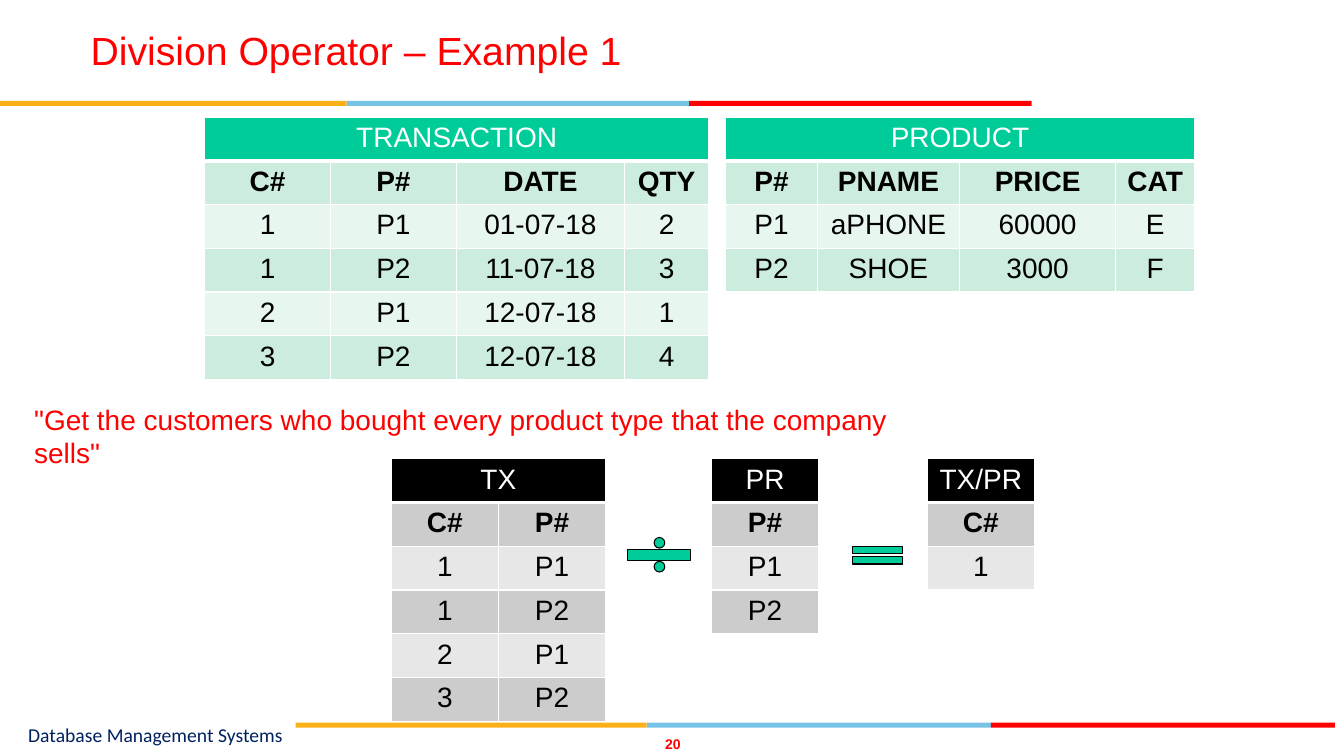
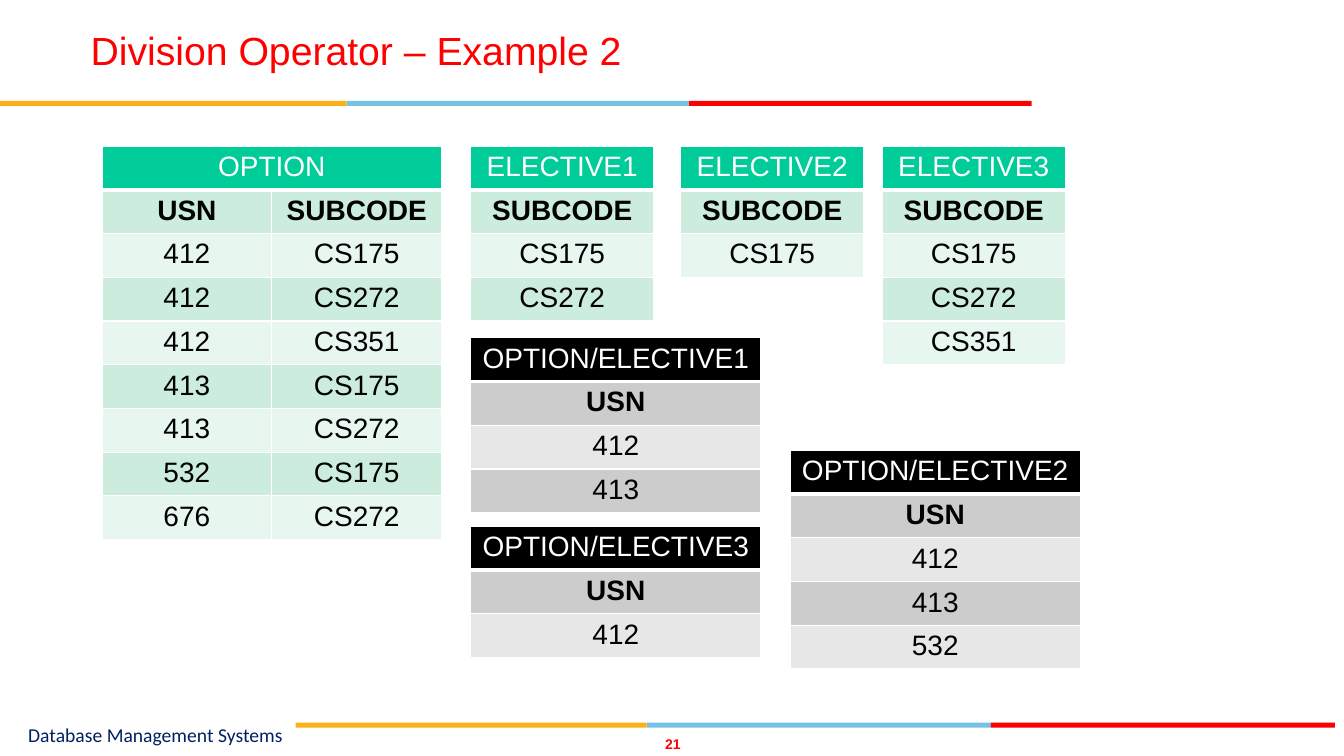
from lxml.etree import SubElement
from pptx import Presentation
from pptx.dml.color import RGBColor
from pptx.enum.shapes import MSO_SHAPE
from pptx.enum.text import MSO_ANCHOR, PP_ALIGN
from pptx.oxml.ns import qn
from pptx.util import Cm, Pt

HUES = {
    "red": "FF0000", "gold": "FCB017", "sky": "76C2E5", "navy": "002060",
    "green": "00CC99", "white": "FFFFFF", "black": "000000",
}
# Table themes: header, odd rows, even rows
THEMES = {
    "green": (HUES["green"], "CCECDE", "E7F6EF"),
    "black": (HUES["black"], "CCCCCC", "E7E7E7"),
}
ROW = 1.04  # table row height


def rgb(hue):
    return RGBColor.from_string(hue)


def place(box):
    """Turn a box in centimetres into lengths."""
    return [Cm(side) for side in box]


def style(para, size, hue, bold=False, face="Arial", align=PP_ALIGN.LEFT):
    font = para.font
    font.name, font.size, font.bold = face, Pt(size), bold
    font.color.rgb = rgb(hue)
    para.alignment = align


def label(slide, box, text, size, hue, inset=True, **look):
    frame = slide.shapes.add_textbox(*place(box)).text_frame
    frame.word_wrap = True
    if not inset:
        frame.margin_left = frame.margin_right = 0
        frame.margin_top = frame.margin_bottom = 0
        frame.vertical_anchor = MSO_ANCHOR.MIDDLE
    para = frame.paragraphs[0]
    para.text = text
    style(para, size, hue, **look)


def stripe(slide, left, top, widths):
    """Draw a gold, sky and red band."""
    for name, width in zip(("gold", "sky", "red"), widths):
        bar = slide.shapes.add_shape(
            MSO_SHAPE.RECTANGLE, *place((left, top, width, 0.13)))
        bar.shadow.inherit = False
        bar.fill.solid()
        bar.fill.fore_color.rgb = rgb(HUES[name])
        bar.line.fill.background()
        left += width


def frame_up(slide, layout):
    """Build the shared bands and footer, then move them to the layout."""
    stripe(slide, 0, 2.54, (8.74, 8.63, 8.63))
    stripe(slide, 7.45, 18.21, (8.85, 8.67, 8.67))
    label(slide, (0.71, 18.16, 12.6, 0.69), "Database Management Systems",
          14, HUES["navy"], inset=False, face="Calibri")
    for shape in list(slide.shapes):
        if not shape.is_placeholder:
            layout.shapes.element.append(shape.element)


def set_up(deck):
    """Keep only the title on the layout and set its place."""
    layout = deck.slide_layouts.get_by_name("Title Only")
    for holder in list(layout.placeholders):
        if holder.placeholder_format.idx:
            holder.element.getparent().remove(holder.element)
    title = layout.placeholders[0]
    title.left, title.top, title.width, title.height = place(
        (2.03, 0.41, 22.86, 1.68))
    return layout


def head(slide, text, page):
    """Write the title and the page number."""
    para = slide.shapes.title.text_frame.paragraphs[0]
    para.text = text
    style(para, 28, HUES["red"])
    label(slide, (16.54, 18.52, 0.84, 0.43), str(page), 10, HUES["red"],
          inset=False, bold=True, align=PP_ALIGN.CENTER)


def border(cell, under):
    """Edge a cell in white, with its own width below."""
    props = cell._tc.get_or_add_tcPr()
    for side, width in (("L", 1), ("R", 1), ("T", 1), ("B", under)):
        line = SubElement(props, qn(f"a:ln{side}"), w=str(Pt(width)))
        fill = SubElement(line, qn("a:solidFill"))
        SubElement(fill, qn("a:srgbClr"), val=HUES["white"])


def grid(slide, left, top, widths, theme, name, rows):
    """Add a table: a name row, a row of column names, then data."""
    lines = [[name] + [""] * (len(widths) - 1)]
    lines += [row.split() for row in rows]
    box = (left, top, sum(widths), ROW * len(lines))
    table = slide.shapes.add_table(
        len(lines), len(widths), *place(box)).table
    for col, width in zip(table.columns, widths):
        col.width = Cm(width)
    top_hue, odd, even = THEMES[theme]
    for r, line in enumerate(lines):
        table.rows[r].height = Cm(ROW)
        hue = top_hue if r == 0 else odd if r % 2 else even
        for c, text in enumerate(line):
            cell = table.cell(r, c)
            border(cell, 1 if r else 3)
            cell.fill.solid()
            cell.fill.fore_color.rgb = rgb(hue)
            para = cell.text_frame.paragraphs[0]
            para.text = text
            style(para, 20, HUES["black" if r else "white"], bold=r == 1,
                  align=PP_ALIGN.CENTER)
    if len(widths) > 1:
        table.cell(0, 0).merge(table.cell(0, len(widths) - 1))


def sign(slide, kind, box):
    """Draw a maths sign."""
    shape = slide.shapes.add_shape(kind, *place(box))
    shape.shadow.inherit = False
    shape.fill.solid()
    shape.fill.fore_color.rgb = rgb(HUES["green"])
    shape.line.color.rgb = rgb(HUES["black"])
    shape.line.width = Pt(0.75)


def sales(slide):
    """Customers who bought every product."""
    # Source tables
    top = 2.95
    grid(slide, 5.16, top, (3.17, 3.17, 4.24, 2.12), "green", "TRANSACTION",
         ["C# P# DATE QTY", "1 P1 01-07-18 2", "1 P2 11-07-18 3",
          "2 P1 12-07-18 1", "3 P2 12-07-18 4"])
    grid(slide, 18.29, top, (2.31, 3.58, 3.94, 1.98), "green", "PRODUCT",
         ["P# PNAME PRICE CAT", "P1 aPHONE 60000 E", "P2 SHOE 3000 F"])
    # Division
    top, wide = 11.56, 2.7
    grid(slide, 9.86, top, (wide, wide), "black", "TX",
         ["C# P#", "1 P1", "1 P2", "2 P1", "3 P2"])
    sign(slide, MSO_SHAPE.MATH_DIVIDE, (15.54, top + 1.85, 2.16, 1.14))
    grid(slide, 17.93, top, (wide,), "black", "PR", ["P#", "P1", "P2"])
    sign(slide, MSO_SHAPE.MATH_EQUAL, (21.26, top + 2.05, 1.7, 0.76))
    grid(slide, 23.37, top, (wide,), "black", "TX/PR", ["C#", "1"])
    # Query
    label(slide, (0.61, 10.01, 23.85, 1.12),
          '"Get the customers who bought every product type '
          'that the company sells"', 20, HUES["red"])


def course(slide):
    """Students who took every elective."""
    # Source tables
    top = 3.68
    codes = ["CS175", "CS272", "CS351"]
    grid(slide, 2.57, top, (4.28, 4.28), "green", "OPTION",
         ["USN SUBCODE", "412 CS175", "412 CS272", "412 CS351", "413 CS175",
          "413 CS272", "532 CS175", "676 CS272"])
    for num, (left, count) in enumerate(
            ((11.86, 2), (17.15, 1), (22.23, 3)), 1):
        grid(slide, left, top, (4.62,), "green", f"ELECTIVE{num}",
             ["SUBCODE"] + codes[:count])
    # Results
    users = ["412", "413", "532"]
    for num, (left, top, count) in enumerate(
            ((11.86, 8.51, 2), (19.91, 11.35, 3), (11.86, 13.26, 1)), 1):
        grid(slide, left, top, (7.32,), "black", f"OPTION/ELECTIVE{num}",
             ["USN"] + users[:count])


def main():
    deck = Presentation()
    deck.slide_width, deck.slide_height = Cm(33.87), Cm(19.05)
    layout = set_up(deck)
    for num, draw in enumerate((sales, course), 1):
        slide = deck.slides.add_slide(layout)
        if num == 1:
            frame_up(slide, layout)
        head(slide, f"Division Operator – Example {num}", 19 + num)
        draw(slide)
    deck.save("out.pptx")


if __name__ == "__main__":
    main()
